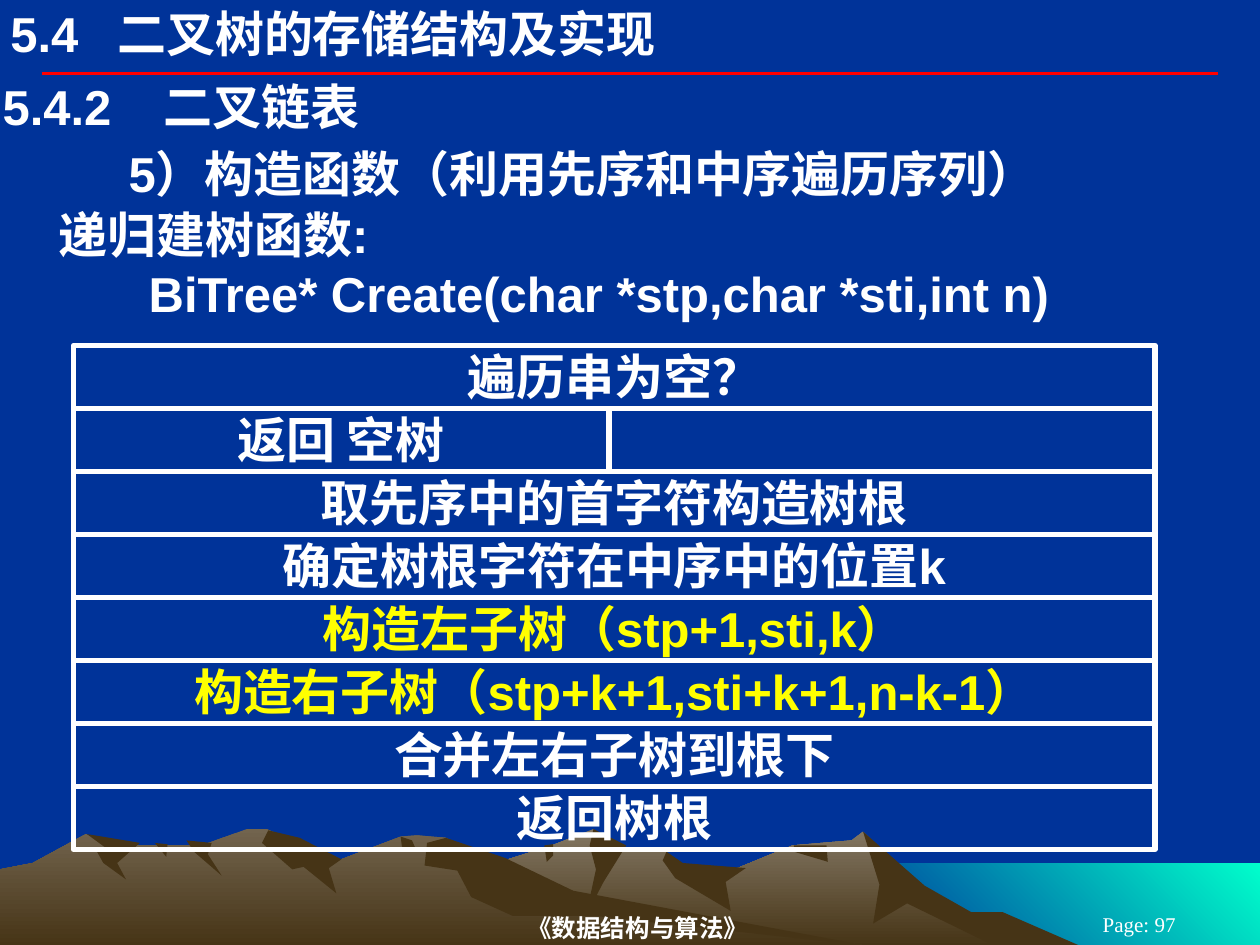
from lxml import etree
from pptx import Presentation
from pptx.dml.color import RGBColor
from pptx.enum.shapes import MSO_CONNECTOR, MSO_SHAPE
from pptx.enum.text import MSO_ANCHOR, PP_ALIGN
from pptx.oxml.ns import qn
from pptx.util import Pt

NAVY = RGBColor(0x00, 0x33, 0x99)
AQUA = RGBColor(0x00, 0xFF, 0xCC)
SAND = RGBColor(0x83, 0x77, 0x63)
CLAY = RGBColor(0x72, 0x64, 0x4E)
BROWN = RGBColor(0x46, 0x34, 0x16)
WHITE = RGBColor(0xFF, 0xFF, 0xFF)
YELLOW = RGBColor(0xFF, 0xFF, 0x00)
RED = RGBColor(0xFF, 0x00, 0x00)
LEFT, CENTER = PP_ALIGN.LEFT, PP_ALIGN.CENTER
TOP, MIDDLE = MSO_ANCHOR.TOP, MSO_ANCHOR.MIDDLE
RECTANGLE, STRAIGHT = MSO_SHAPE.RECTANGLE, MSO_CONNECTOR.STRAIGHT

BODY = {"name": "Arial", "size": Pt(28), "bold": True}
FOOTER = {"name": "Times New Roman", "size": Pt(14), "bold": True}
NUMBER = {"name": "Times New Roman", "size": Pt(12), "bold": False}
OUTLINE_UNIT = Pt(0.72)


def set_text(frame, lines, formats, color, align, anchor, tab=None):
    layout = {
        "word_wrap": True, "vertical_anchor": anchor,
        "margin_left": Pt(1.5), "margin_right": Pt(1.5),
        "margin_top": Pt(0.75), "margin_bottom": Pt(0.75),
    }
    for name, value in layout.items():
        setattr(frame, name, value)
    for index, (text, indent) in enumerate(lines):
        para = frame.add_paragraph() if index else frame.paragraphs[0]
        para.alignment = align
        properties = para._p.get_or_add_pPr()
        if indent:
            properties.set("marL", str(Pt(indent)))
        if tab:
            stops = etree.SubElement(properties, qn("a:tabLst"))
            etree.SubElement(stops, qn("a:tab"), pos=str(Pt(tab)), algn="l")
        span = para.add_run()
        span.text = text
        for name, value in formats.items():
            setattr(span.font, name, value)
        span.font.color.rgb = color


deck = Presentation()
deck.slide_width, deck.slide_height = Pt(720), Pt(540)
page = deck.slides.add_slide(deck.slide_layouts[6])
page.background.fill.solid()
page.background.fill.fore_color.rgb = NAVY

landscape = [
    ((AQUA, NAVY), 225, [(1000, 752), (683, 752), (683, 685), (1000, 685)]),
    ((SAND, BROWN), 270, [
        (821, 751), (764, 723), (723, 698), (685, 660), (676, 667), (629, 671), (566, 697),
        (536, 690), (526, 673), (486, 673), (471, 658), (438, 671), (394, 685), (327, 709),
        (258, 751)]),
    ((BROWN,), 0, [
        (796, 724), (771, 724), (734, 703), (685, 660), (698, 702), (693, 733), (720, 717),
        (792, 752), (858, 751)]),
    ((BROWN,), 0, [
        (471, 658), (468, 671), (473, 690), (465, 727), (479, 700), (497, 671)]),
    ((BROWN,), 0, [
        (529, 676), (526, 683), (536, 697), (580, 723), (576, 700), (592, 689), (542, 685)]),
    ((BROWN,), 0, [(630, 671), (630, 676), (657, 684), (656, 671)]),
    ((BROWN,), 0, [(432, 671), (439, 670), (439, 679), (434, 684)]),
    ((CLAY, BROWN), 270, [
        (690, 751), (432, 712), (354, 665), (331, 663), (318, 664), (271, 682), (236, 681),
        (223, 663), (212, 658), (196, 658), (160, 671), (94, 671), (68, 662), (26, 685),
        (0, 690), (0, 751)]),
    ((BROWN,), 0, [
        (213, 659), (208, 669), (232, 690), (241, 688), (267, 709), (261, 689), (271, 682),
        (238, 665)]),
    ((BROWN,), 0, [
        (354, 665), (339, 669), (337, 687), (363, 691), (374, 712), (407, 727), (472, 727),
        (690, 751), (455, 707), (401, 681)]),
    ((BROWN,), 0, [(318, 664), (327, 667), (330, 674), (319, 672)]),
    ((BROWN,), 0, [(148, 667), (168, 669), (165, 678), (176, 695), (154, 676)]),
    ((BROWN,), 0, [(123, 669), (133, 670), (132, 680)]),
    ((BROWN,), 0, [
        (69, 662), (111, 669), (93, 685), (100, 698), (82, 685), (77, 676), (84, 673)]),
]
for colors, angle, points in landscape:
    builder = page.shapes.build_freeform(*points[0], scale=OUTLINE_UNIT)
    builder.add_line_segments(points[1:], close=True)
    outline = builder.convert_to_shape()
    outline.shadow.inherit = False
    outline.line.fill.background()
    if len(colors) == 1:
        outline.fill.solid()
        outline.fill.fore_color.rgb = colors[0]
    else:
        outline.fill.gradient()
        outline.fill.gradient_angle = angle
        for position, (stop, color) in enumerate(zip(outline.fill.gradient_stops, colors)):
            stop.position = position
            stop.color.rgb = color

title_rule = page.shapes.add_connector(STRAIGHT, Pt(24), Pt(42), Pt(696), Pt(42))
title_rule.line.color.rgb = RED
title_rule.line.width = Pt(2.25)
etree.SubElement(title_rule._element.spPr, qn("a:effectLst"))

texts = [
    (146.5, 520, 436, 20, [("《数据结构与算法》", 0)], FOOTER, CENTER, MIDDLE, None),
    (594, 522, 114, 12, [("Page: 97", 0)], NUMBER, CENTER, MIDDLE, None),
    (4.5, 1.5, 468, 34, [("5.4\t二叉树的存储结构及实现", 0)], BODY, LEFT, TOP, 61),
    (0, 43, 720, 35, [("5.4.2\t二叉链表", 0)], BODY, LEFT, TOP, 92),
    (72, 81.5, 648, 35, [("5）构造函数（利用先序和中序遍历序列）", 0)], BODY, LEFT, TOP, None),
    (0, 116, 720, 69, [
        ("递归建树函数:", 32),
        ("BiTree* Create(char *stp,char *sti,int n)", 83.5)], BODY, LEFT, TOP, None),
]
for left, top, width, height, lines, formats, align, anchor, tab in texts:
    box = page.shapes.add_textbox(Pt(left), Pt(top), Pt(width), Pt(height))
    set_text(box.text_frame, lines, formats, WHITE, align, anchor, tab)

flow_left, flow_top, flow_width, row_height, branch_width = 42, 197.4, 618, 36, 306
flow_rows = [
    [("遍历串为空？", WHITE)],
    [("返回 空树", WHITE), ("", WHITE)],
    [("取先序中的首字符构造树根", WHITE)],
    [("确定树根字符在中序中的位置k", WHITE)],
    [("构造左子树（stp+1,sti,k）", YELLOW)],
    [("构造右子树（stp+k+1,sti+k+1,n-k-1）", YELLOW)],
    [("合并左右子树到根下", WHITE)],
    [("返回树根", WHITE)],
]
for row, cells in enumerate(flow_rows):
    edges = [0, flow_width] if len(cells) == 1 else [0, branch_width, flow_width]
    for (text, color), start, end in zip(cells, edges, edges[1:]):
        step = page.shapes.add_shape(
            RECTANGLE, Pt(flow_left + start), Pt(flow_top + row * row_height),
            Pt(end - start), Pt(row_height))
        step.shadow.inherit = False
        step.fill.background()
        step.line.color.rgb = WHITE
        step.line.width = Pt(3)
        if text:
            set_text(step.text_frame, [(text, 0)], BODY, color, CENTER, TOP)

deck.save("out.pptx")
